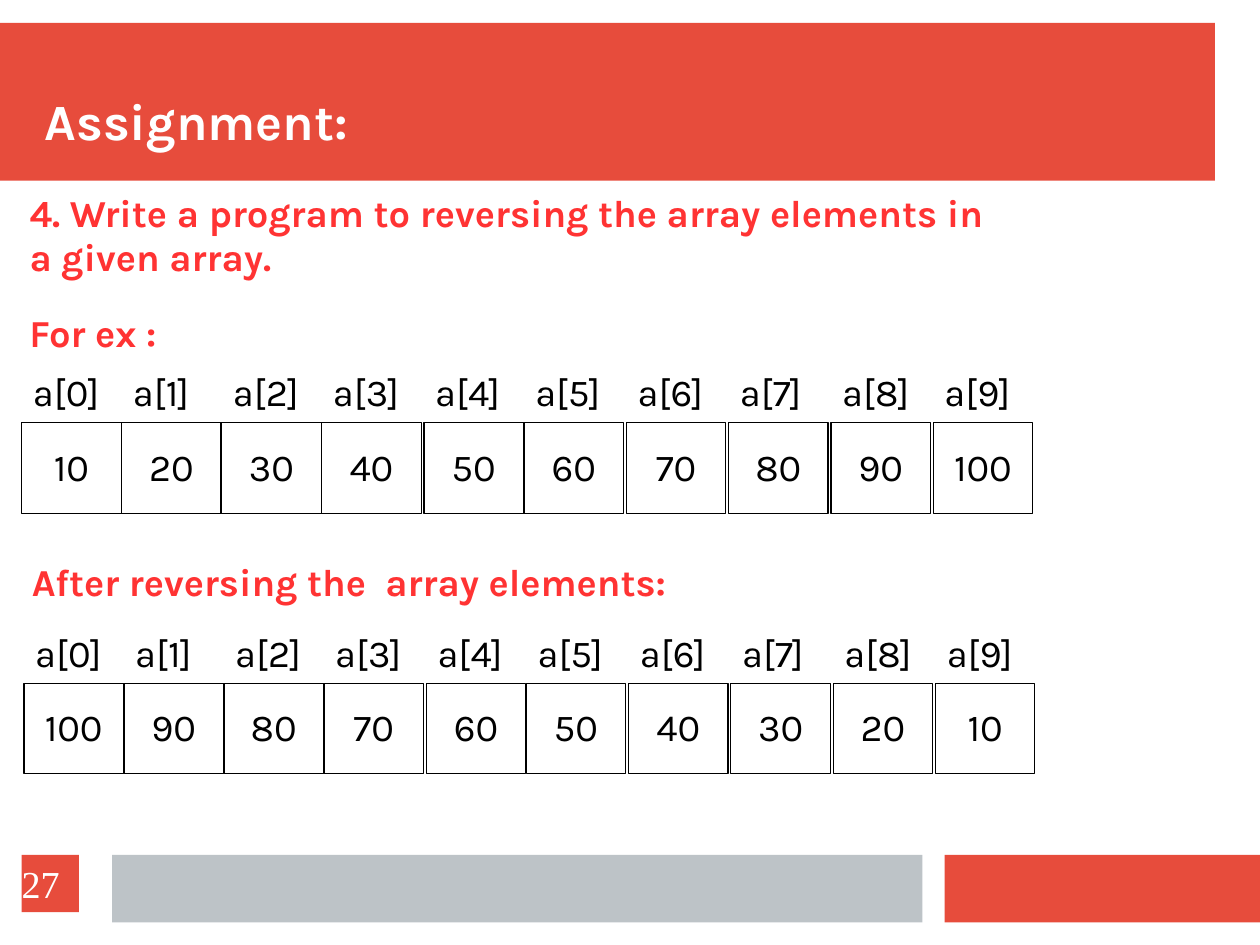
from dataclasses import dataclass

from pptx import Presentation
from pptx.dml.color import RGBColor
from pptx.enum.shapes import MSO_SHAPE
from pptx.enum.text import MSO_ANCHOR, PP_ALIGN
from pptx.util import Inches, Pt

RECTANGLE = MSO_SHAPE.RECTANGLE
TOP, MIDDLE, BOTTOM = MSO_ANCHOR.TOP, MSO_ANCHOR.MIDDLE, MSO_ANCHOR.BOTTOM
LEFT, CENTER = PP_ALIGN.LEFT, PP_ALIGN.CENTER


@dataclass(frozen=True)
class Theme:
    accent: str = "E74C3C"
    gray: str = "BDC3C7"
    heading: str = "FF3333"
    ink: str = "000000"
    paper: str = "FFFFFF"
    font: str = "Karla"
    number_font: str = "Times New Roman"
    title_size: int = 32
    body_size: int = 24
    line_spacing: float = 0.97
    cell_line: float = 0.75


THEME = Theme()
CM_PER_INCH = 2.54
PAGE_WIDTH, PAGE_HEIGHT = 28 / CM_PER_INCH, 21 / CM_PER_INCH
VALUES = [10 * step for step in range(1, 11)]
CELL_WIDTH, CELL_HEIGHT, LABEL_HEIGHT = 0.87, 0.79, 0.5
CELL_PITCH, CELL_GAP = 7 / 8, 0.02
CELLS_AFTER_GAP = {4, 6, 7, 8, 9}


def write(box, text, color, size=THEME.body_size, font=THEME.font, bold=False,
          align=LEFT, anchor=TOP, margins=(0.1, 0.05), spacing=THEME.line_spacing):
    frame = box.text_frame
    frame.text = text
    frame.word_wrap = True
    frame.vertical_anchor = anchor
    frame.margin_left = frame.margin_right = Inches(margins[0])
    frame.margin_top = frame.margin_bottom = Inches(margins[1])
    for para in frame.paragraphs:
        para.alignment = align
        para.line_spacing = spacing
        for span in para.runs:
            span.font.name = font
            span.font.size = Pt(size)
            span.font.bold = bold
            span.font.color.rgb = RGBColor.from_string(color)


def add_text(page, left, top, width, height, text, color, **style):
    box = page.shapes.add_textbox(*map(Inches, (left, top, width, height)))
    write(box, text, color, **style)


def add_block(page, left, top, width, height, fill, line=None):
    block = page.shapes.add_shape(RECTANGLE, *map(Inches, (left, top, width, height)))
    block.shadow.inherit = False
    block.fill.solid()
    block.fill.fore_color.rgb = RGBColor.from_string(fill)
    if line:
        block.line.color.rgb = RGBColor.from_string(line)
        block.line.width = Pt(THEME.cell_line)
    else:
        block.line.fill.background()
    return block


def add_header(page, left, top, width, height, title):
    add_block(page, left, top, width, height, THEME.accent)
    add_text(page, left + 0.39, top + 0.19, width - 0.44, height - 0.44, title,
             THEME.paper, size=THEME.title_size, bold=True, anchor=BOTTOM, margins=(0, 0))


def add_footer(page, left, top, width, height, number):
    add_block(page, left + width - 2.76, top, 2.76, height, THEME.accent)
    add_block(page, left + 0.98, top, 7.09, height, THEME.gray)
    badge = add_block(page, left + 0.19, top, 0.5, 0.5, THEME.accent)
    write(badge, number, THEME.paper, font=THEME.number_font, anchor=MIDDLE,
          margins=(0, 0), spacing=1.0)


def add_heading(page, left, top, width, height, text):
    add_text(page, left, top, width, height, text, THEME.heading, bold=True)


def add_array(page, left, top, values):
    """Draw a row of value cells with an index label above each one."""
    for index, value in enumerate(values):
        if index in CELLS_AFTER_GAP:
            left += CELL_GAP
        cell = add_block(page, left, top + LABEL_HEIGHT, CELL_WIDTH, CELL_HEIGHT,
                         THEME.paper, THEME.ink)
        write(cell, str(value), THEME.ink, align=CENTER, anchor=MIDDLE)
        add_text(page, left, top, CELL_WIDTH, LABEL_HEIGHT, f"a[{index}]", THEME.ink)
        left += CELL_PITCH


def main():
    deck = Presentation()
    deck.slide_width, deck.slide_height = Inches(PAGE_WIDTH), Inches(PAGE_HEIGHT)
    page = deck.slides.add_slide(deck.slide_layouts[6])
    add_header(page, 0, 0.2, 10.63, 1.38, "Assignment:")
    add_heading(page, 0.16, 1.63, 9.98, 0.89,
                "4. Write a program to reversing the array elements in\na given array.")
    add_heading(page, 0.16, 2.68, 1.73, 0.5, "For ex :")
    add_array(page, 0.19, 3.2, VALUES)
    add_heading(page, 0.18, 4.86, 7.12, 0.5, "After reversing the  array elements:")
    add_array(page, 0.21, 5.48, VALUES[::-1])
    add_footer(page, 0, 7.48, PAGE_WIDTH, 0.59, "27")
    deck.save("out.pptx")


if __name__ == "__main__":
    main()
